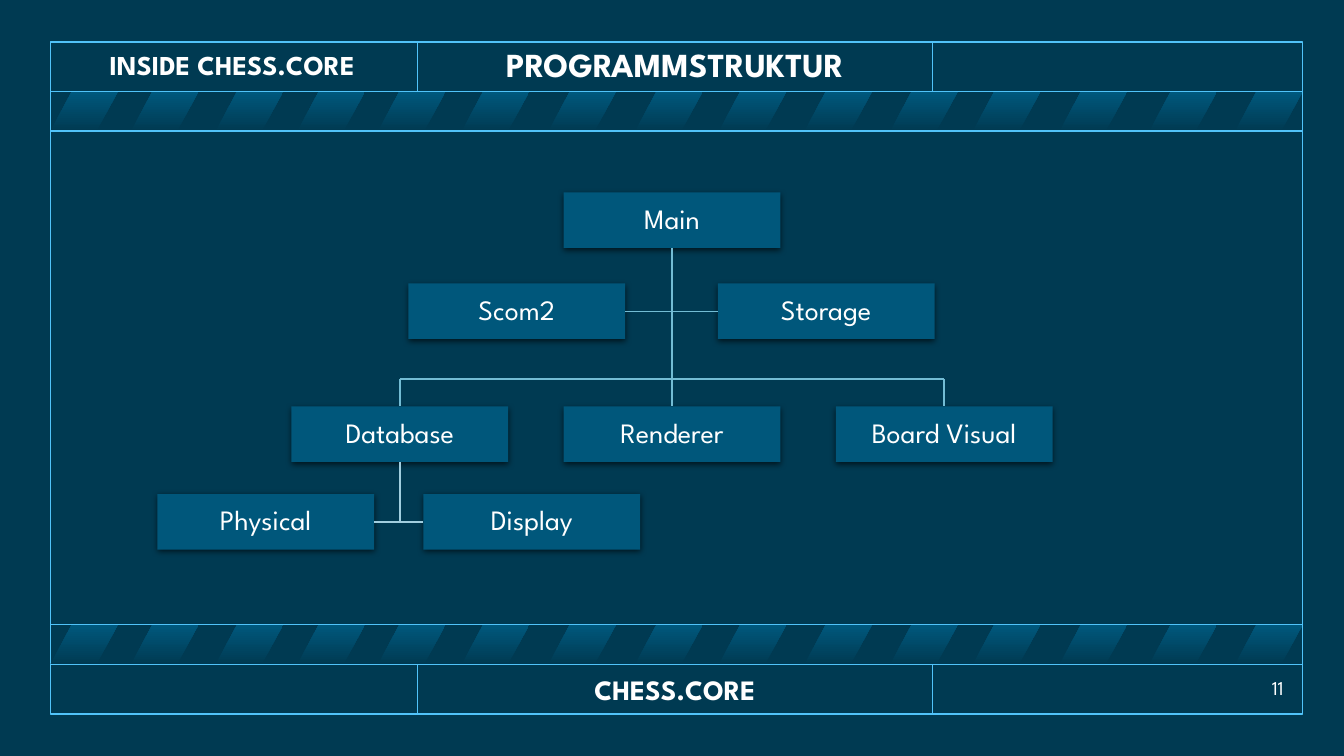
from lxml import etree
from pptx import Presentation
from pptx.dml.color import RGBColor
from pptx.enum.shapes import MSO_CONNECTOR, MSO_SHAPE
from pptx.enum.text import MSO_ANCHOR, PP_ALIGN
from pptx.oxml.ns import qn
from pptx.util import Inches, Pt

NIGHT = RGBColor(0x00, 0x3A, 0x52)
STRIPE = RGBColor(0x00, 0x58, 0x7D)
PANEL = RGBColor(0x00, 0x57, 0x7B)
SKY = RGBColor(0x51, 0xC3, 0xF9)
BRANCH = RGBColor(0x73, 0xBC, 0xD4)
TWIG = RGBColor(0xA1, 0xCE, 0xDF)
WHITE = RGBColor(0xFF, 0xFF, 0xFF)

RECTANGLE, PARALLELOGRAM = MSO_SHAPE.RECTANGLE, MSO_SHAPE.PARALLELOGRAM
STRAIGHT = MSO_CONNECTOR.STRAIGHT
CENTER, RIGHT = PP_ALIGN.CENTER, PP_ALIGN.RIGHT
MIDDLE = MSO_ANCHOR.MIDDLE
TOP_SIDE, LEFT_SIDE, BOTTOM_SIDE, RIGHT_SIDE = range(4)


class Board:
    """Draws on a grid of 100 columns by 100 rows."""

    FONT = "League Spartan"
    MODULE_SIZE = (16.13, 7.34)

    def __init__(self, deck):
        self.column = deck.slide_width / 100
        self.row = deck.slide_height / 100
        self.slide = deck.slides.add_slide(deck.slide_layouts[6])
        self.slide.background.fill.solid()
        self.slide.background.fill.fore_color.rgb = NIGHT

    def place(self, x, y):
        return round(x * self.column), round(y * self.row)

    def shape(self, kind, left, top, width, height):
        shape = self.slide.shapes.add_shape(
            kind, *self.place(left, top), *self.place(width, height))
        shape.shadow.inherit = False
        shape.line.fill.background()
        return shape

    def frame(self, left, top, right, bottom):
        frame = self.shape(RECTANGLE, left, top, right - left, bottom - top)
        frame.fill.background()
        frame.line.color.rgb = SKY
        frame.line.width = Pt(1)

    def line(self, start, end, color, begin=None, finish=None):
        """begin and finish are (module, side) pairs to join."""
        line = self.slide.shapes.add_connector(
            STRAIGHT, *self.place(*start), *self.place(*end))
        line.line.color.rgb = color
        line.line.width = Pt(1)
        etree.SubElement(line._element.spPr, qn("a:effectLst"))
        if begin:
            line.begin_connect(*begin)
        if finish:
            line.end_connect(*finish)

    def stripe(self, left, top, width, height):
        stripe = self.shape(PARALLELOGRAM, left, top, width, height)
        stripe.adjustments[0] = 0.54
        stripe.fill.gradient()
        stripe.fill.gradient_angle = 90
        for stop, color in zip(stripe.fill.gradient_stops, (NIGHT, STRIPE)):
            stop.color.rgb = color

    def set_text(self, text_frame, text, size, bold=False, align=CENTER, spacing=0.9):
        text_frame.word_wrap = True
        text_frame.vertical_anchor = MIDDLE
        paragraph = text_frame.paragraphs[0]
        paragraph.alignment = align
        paragraph.line_spacing = spacing
        run = paragraph.add_run()
        run.text = text
        run.font.name = self.FONT
        run.font.size = Pt(size)
        run.font.bold = bold
        run.font.color.rgb = WHITE

    def label(self, text, area, size, **style):
        left, top, width, height = area
        box = self.slide.shapes.add_textbox(
            *self.place(left, top), *self.place(width, height))
        self.set_text(box.text_frame, text, size, **style)

    def module(self, name, x, y):
        """A raised box centred on x, y."""
        width, height = self.MODULE_SIZE
        box = self.shape(RECTANGLE, x - width / 2, y - height / 2, width, height)
        box.fill.solid()
        box.fill.fore_color.rgb = PANEL
        effects = box._element.spPr.find(qn("a:effectLst"))
        shadow = etree.SubElement(
            effects, qn("a:outerShdw"), blurRad=str(Pt(4.5)), dist=str(Pt(1.5)),
            dir="5400000", algn="ctr", rotWithShape="0")
        black = etree.SubElement(shadow, qn("a:srgbClr"), val="000000")
        etree.SubElement(black, qn("a:alpha"), val="63000")
        text = box.text_frame
        text.margin_left = text.margin_right = Inches(0.01)
        text.margin_top = text.margin_bottom = Inches(0.01)
        self.set_text(text, name, 20)
        return box


def main():
    deck = Presentation()
    deck.slide_width, deck.slide_height = Inches(13.33), Inches(7.5)
    board = Board(deck)

    # Frame with header and footer cells
    left, right = 3.75, 96.9
    edge, header, band = 5.55, 12.13, 17.35
    dividers = (31.07, 69.4)
    board.frame(left, edge, right, 100 - edge)
    for x in dividers:
        board.line((x, edge), (x, header), SKY)
        board.line((x, 100 - header), (x, 100 - edge), SKY)

    # Striped bands
    stripe_lefts = (3.75, 9.75, 16.05, 22.13, 28.13, 34.36, 40.81, 47.26,
                    53.49, 59.86, 66.24, 72.39, 78.84, 85.52, 91.9)
    for band_top, band_bottom in ((header, band), (100 - band, 100 - header)):
        for x in stripe_lefts:
            board.stripe(x, band_top, 5.02, band_bottom - band_top)
        for y in (band_top, band_bottom):
            board.line((left, y), (right, y), SKY)

    # Program modules, by centre
    centers = {
        "Main": (50, 29.13),
        "Scom2": (38.45, 41.17), "Storage": (61.47, 41.17),
        "Database": (29.75, 57.43), "Renderer": (50, 57.43),
        "Board Visual": (70.25, 57.43),
        "Physical": (19.77, 69.03), "Display": (39.57, 69.03),
    }
    modules = {name: board.module(name, *center)
               for name, center in centers.items()}

    # Links between modules
    links = (
        ("Main", BOTTOM_SIDE, "Renderer", TOP_SIDE, BRANCH),
        ("Scom2", RIGHT_SIDE, "Storage", LEFT_SIDE, BRANCH),
        ("Physical", RIGHT_SIDE, "Display", LEFT_SIDE, TWIG),
    )
    for source, source_side, target, target_side, color in links:
        board.line(centers[source], centers[target], color,
                   (modules[source], source_side), (modules[target], target_side))

    fork = 50.13
    outer = ("Database", "Board Visual")
    board.line(*((centers[name][0], fork) for name in outer), BRANCH)
    for name in outer:
        x, y = centers[name]
        board.line((x, fork), (x, y), BRANCH, finish=(modules[name], TOP_SIDE))
    database_x = centers["Database"][0]
    board.line(centers["Database"], (database_x, centers["Display"][1]), TWIG,
               begin=(modules["Database"], BOTTOM_SIDE))

    # Header and footer texts
    board.label("PROGRAMMSTRUKTUR", (31.13, 5.73, 38.18, 6.27), 24, bold=True)
    board.label("CHESS.CORE", (31.13, 88.27, 38.18, 6.27), 20, bold=True)
    board.label("INSIDE CHESS.CORE", (3.6, 5.47, 27.38, 6.67), 19.5, bold=True)
    board.label("11", (89.35, 88.93, 6.9, 4), 14, align=RIGHT, spacing=1.0)

    deck.save("out.pptx")


if __name__ == "__main__":
    main()
